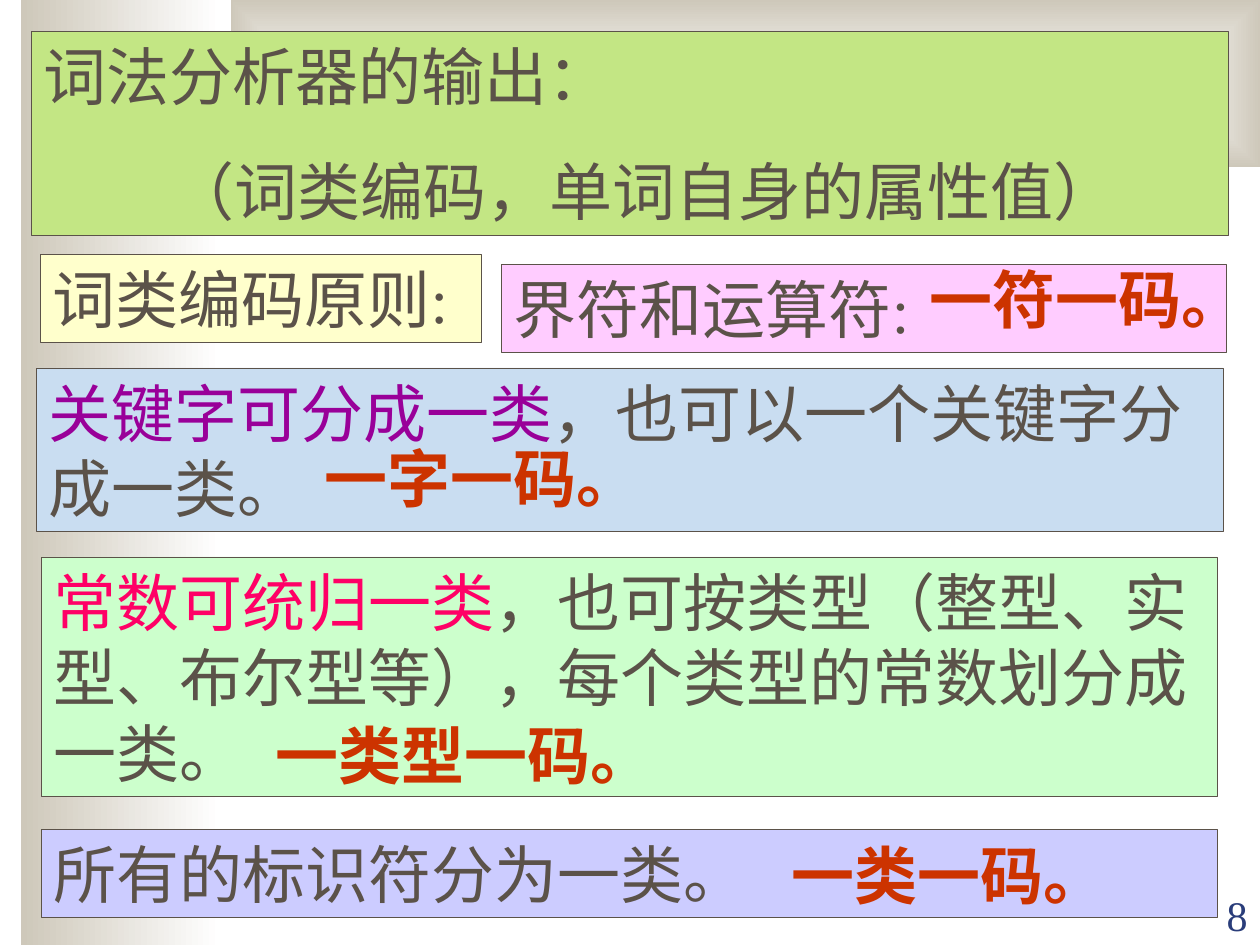
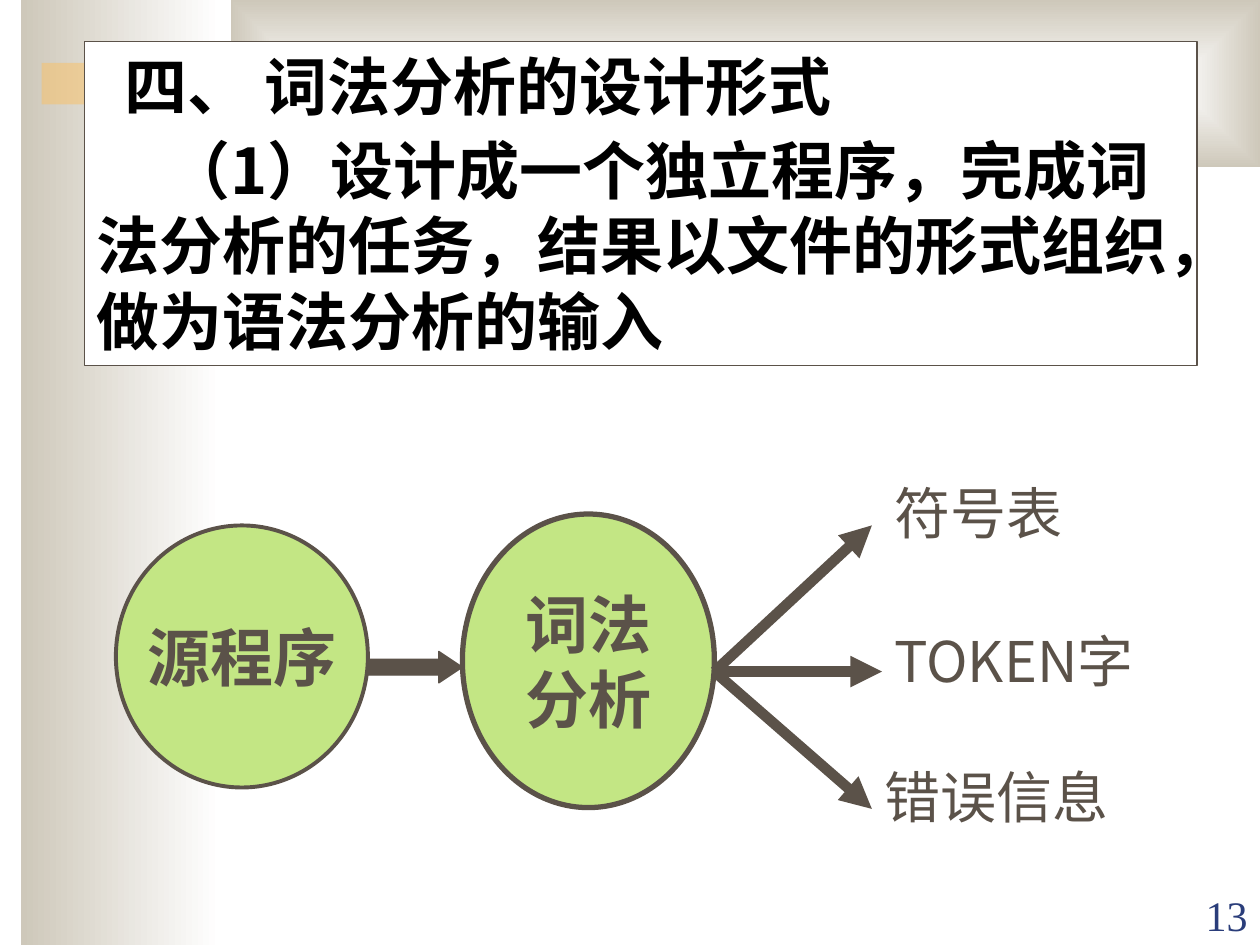
"""Builds two slides on the output and the design of a lexical analyser."""
from dataclasses import dataclass

import pptx
import pptx.dml.color
import pptx.enum.dml
import pptx.enum.shapes
import pptx.enum.text
import pptx.oxml
import pptx.oxml.ns
import pptx.util
from pptx.util import Inches

SHAPE = pptx.enum.shapes.MSO_SHAPE
ALIGN = pptx.enum.text.PP_ALIGN
ANCHOR = pptx.enum.text.MSO_ANCHOR
FIT = pptx.enum.text.MSO_AUTO_SIZE


@dataclass(frozen=True)
class Theme:
    """Colours, fonts and type sizes of the deck."""
    ink: str = "5B5249"
    black: str = "000000"
    white: str = "FFFFFF"
    sand: str = "CEC8BA"
    amber: str = "FAC164"
    green: str = "C3E684"
    pink: str = "FFCCFF"
    cream: str = "FFFFCC"
    blue: str = "C9DDF1"
    mint: str = "CCFFCC"
    lilac: str = "CCCCFF"
    purple: str = "990099"
    rose: str = "FF0066"
    red: str = "CC3300"
    navy: str = "2A3D7A"
    serif: str = "Times New Roman"
    sans: str = "Noto Sans CJK JP"
    body: int = 36
    label: int = 32
    footer: int = 24


THEME = Theme()


def rgb(colour):
    """Return a colour object for a hex string."""
    return pptx.dml.color.RGBColor.from_string(colour)


def xml(tag, inner="", **attributes):
    """Return a DrawingML element."""
    listed = " ".join(f'{key}="{value}"' for key, value in attributes.items())
    return pptx.oxml.parse_xml(
        f"<a:{tag} {pptx.oxml.ns.nsdecls('a')} {listed}>{inner}</a:{tag}>")


def add_panel(slide, box, fill=None, line_width=None, kind=SHAPE.RECTANGLE):
    """Add a flat shape with an optional fill and ink outline."""
    panel = slide.shapes.add_shape(kind, *map(Inches, box))
    panel.shadow.inherit = False
    if fill:
        panel.fill.solid()
        panel.fill.fore_color.rgb = rgb(fill)
    if line_width:
        panel.line.color.rgb = rgb(THEME.ink)
        panel.line.width = pptx.util.Pt(line_width)
    else:
        panel.line.fill.background()
    return panel


def write(shape, lines, size=THEME.body, font=THEME.serif, colour=THEME.ink,
          bold=False, align=ALIGN.LEFT, anchor=ANCHOR.TOP, before=0,
          indents=(), wrap=True, fit=FIT.SHAPE_TO_FIT_TEXT, lead_colour=None):
    """Write lines into a shape; lead_colour tints the first run of a line."""
    frame = shape.text_frame
    frame.word_wrap = wrap
    frame.auto_size = fit
    frame.vertical_anchor = anchor
    for index, line in enumerate(lines):
        paragraph = frame.add_paragraph() if index else frame.paragraphs[0]
        paragraph.alignment = align
        paragraph.space_before = pptx.util.Pt(before)
        paragraph.font.size = pptx.util.Pt(size)
        paragraph.font.name = font
        paragraph.font.bold = bold
        if not lead_colour:
            paragraph.font.color.rgb = rgb(colour)
        if indents:
            properties = paragraph._p.get_or_add_pPr()
            properties.set("marL", "0")
            properties.set("indent", str(Inches(indents[index])))
        parts = line if lead_colour else [line]
        for part, tint in zip(parts, (lead_colour, colour)):
            run = paragraph.add_run()
            run.text = part
            if lead_colour:
                run.font.color.rgb = rgb(tint)


def add_label(slide, box, text, **style):
    """Add a text box with one line."""
    label = slide.shapes.add_textbox(*map(Inches, box))
    write(label, [text], **style)


def add_gradient_band(slide, box):
    """Add a white to sand band."""
    band = add_panel(slide, box)
    band.fill.gradient()
    for stop, colour in zip(band.fill.gradient_stops, (THEME.white, THEME.sand)):
        stop.color.rgb = rgb(colour)
    band.fill.gradient_angle = 180
    return band


def add_backdrop(slide, number):
    """Draw the side band, the top band and the page number."""
    add_gradient_band(slide, (0.17, 0, 1.58, 7.5))
    top_band = add_gradient_band(slide, (1.83, 0, 8.17, 1.33))
    gradient = top_band._element.spPr.find(pptx.oxml.ns.qn("a:gradFill"))
    linear = gradient.find(pptx.oxml.ns.qn("a:lin"))
    centre = '<a:fillToRect l="50000" t="50000" r="50000" b="50000"/>'
    gradient.replace(linear, xml("path", centre, path="rect"))
    add_label(slide, (9, 7.01, 1, 0.5), str(number), size=THEME.footer,
              colour=THEME.navy, align=ALIGN.RIGHT, anchor=ANCHOR.BOTTOM,
              fit=FIT.NONE)


def add_accent(slide, box):
    """Add the half transparent amber bar."""
    accent = add_panel(slide, box, THEME.amber)
    colour = accent._element.spPr.find(".//" + pptx.oxml.ns.qn("a:srgbClr"))
    colour.append(xml("alpha", val=50000))


def add_note(slide, box, fill, lines, line_width=0.25, **style):
    """Add a filled, outlined box of text."""
    write(add_panel(slide, box, fill, line_width), lines, **style)


def add_output_rules(slide):
    """Fill the slide on analyser output and coding rules."""
    add_note(slide, (3.98, 2.1, 5.75, 0.7), THEME.pink, ["界符和运算符:"], before=22.5)
    add_note(slide, (0.25, 0.25, 9.5, 1.62), THEME.green,
             ["词法分析器的输出：", "（词类编码，单词自身的属性值）"],
             line_width=0.75, font=THEME.sans, before=22.5, indents=(0, 1.01))
    add_note(slide, (0.29, 2.92, 9.42, 1.3), THEME.blue,
             [("关键字可分成一类", "，也可以一个关键字分成一类。")],
             lead_colour=THEME.purple, before=18)
    add_note(slide, (0.33, 4.42, 9.33, 1.9), THEME.mint,
             [("常数可统归一类",
               "，也可按类型（整型、实型、布尔型等），每个类型的常数划分成一类。")],
             lead_colour=THEME.rose, before=18)
    add_note(slide, (0.33, 6.58, 9.33, 0.7), THEME.lilac,
             ["所有的标识符分为一类。"], before=18)
    add_note(slide, (0.32, 2.02, 3.5, 0.7), THEME.cream, ["词类编码原则:"], before=22.5)
    for left, top, width, rule in (
            (2.48, 3.44, 2.7, "一字一码。"), (2.09, 5.64, 3.2, "一类型一码。"),
            (6.18, 6.59, 2.7, "一类一码。"), (7.28, 2.02, 2.7, "一符一码。")):
        add_label(slide, (left, top, width, 0.7), rule, colour=THEME.red,
                  bold=True, wrap=False)


def add_stage(slide, box, lines, line_width):
    """Add a round processing stage."""
    stage = add_panel(slide, box, THEME.green, line_width, SHAPE.OVAL)
    write(stage, lines, bold=True, align=ALIGN.CENTER, anchor=ANCHOR.MIDDLE,
          wrap=False, fit=FIT.NONE)


def add_flow_arrow(slide, start, end):
    """Add a thick straight arrow."""
    arrow = slide.shapes.add_connector(
        pptx.enum.shapes.MSO_CONNECTOR.STRAIGHT, *map(Inches, start + end))
    arrow.line.color.rgb = rgb(THEME.ink)
    arrow.line.width = pptx.util.Pt(6)
    arrow.line._get_or_add_ln().append(xml("tailEnd", type="triangle"))
    arrow._element.spPr.append(xml("effectLst"))


def add_analysis_flow(slide, left, top):
    """Draw source, analysis and the three results from a top left corner."""
    add_stage(slide, (left, top + 0.42, 2, 2.08), ["源程序"], 2.25)
    feed = add_panel(slide, (left + 2, top + 1.42, 0.75, 0.25), THEME.ink, 0.75,
                     SHAPE.RIGHT_ARROW)
    feed.adjustments[1] = 0.75
    add_stage(slide, (left + 2.75, top + 0.33, 2, 2.33), ["词法", "分析"], 3)
    origin = (left + 4.75, top + 1.58)
    for result, font, box, tip in (
            ("符号表", THEME.serif, (6.08, 0, 2), (6, 0.42)),
            ("TOKEN字", THEME.sans, (6.08, 1.17, 2.5), (6.08, 1.58)),
            ("错误信息", THEME.serif, (6, 2.25, 2.42), (6, 2.67))):
        add_flow_arrow(slide, origin, (left + tip[0], top + tip[1]))
        add_label(slide, (left + box[0], top + box[1], box[2], 0.64), result,
                  size=THEME.label, font=font, before=20)


def add_design_form(slide):
    """Fill the slide on the stand-alone analyser design."""
    add_accent(slide, (0.33, 0.5, 2.75, 0.33))
    add_note(slide, (0.67, 0.33, 8.83, 2.57), THEME.white,
             ["四、 词法分析的设计形式",
              "（1）设计成一个独立程序，完成词法分析的任务，"
              "结果以文件的形式组织，做为语法分析的输入"],
             line_width=0.75, font=THEME.sans, colour=THEME.black, bold=True,
             before=4.5, indents=(0.22, 0.56))
    add_analysis_flow(slide, 0.92, 3.75)


def main():
    """Build and save the deck."""
    deck = pptx.Presentation()
    deck.slide_width, deck.slide_height = Inches(10), Inches(7.5)
    for number, fill_slide in ((8, add_output_rules), (13, add_design_form)):
        slide = deck.slides.add_slide(deck.slide_layouts[6])
        add_backdrop(slide, number)
        fill_slide(slide)
    deck.save("out.pptx")


if __name__ == "__main__":
    main()
